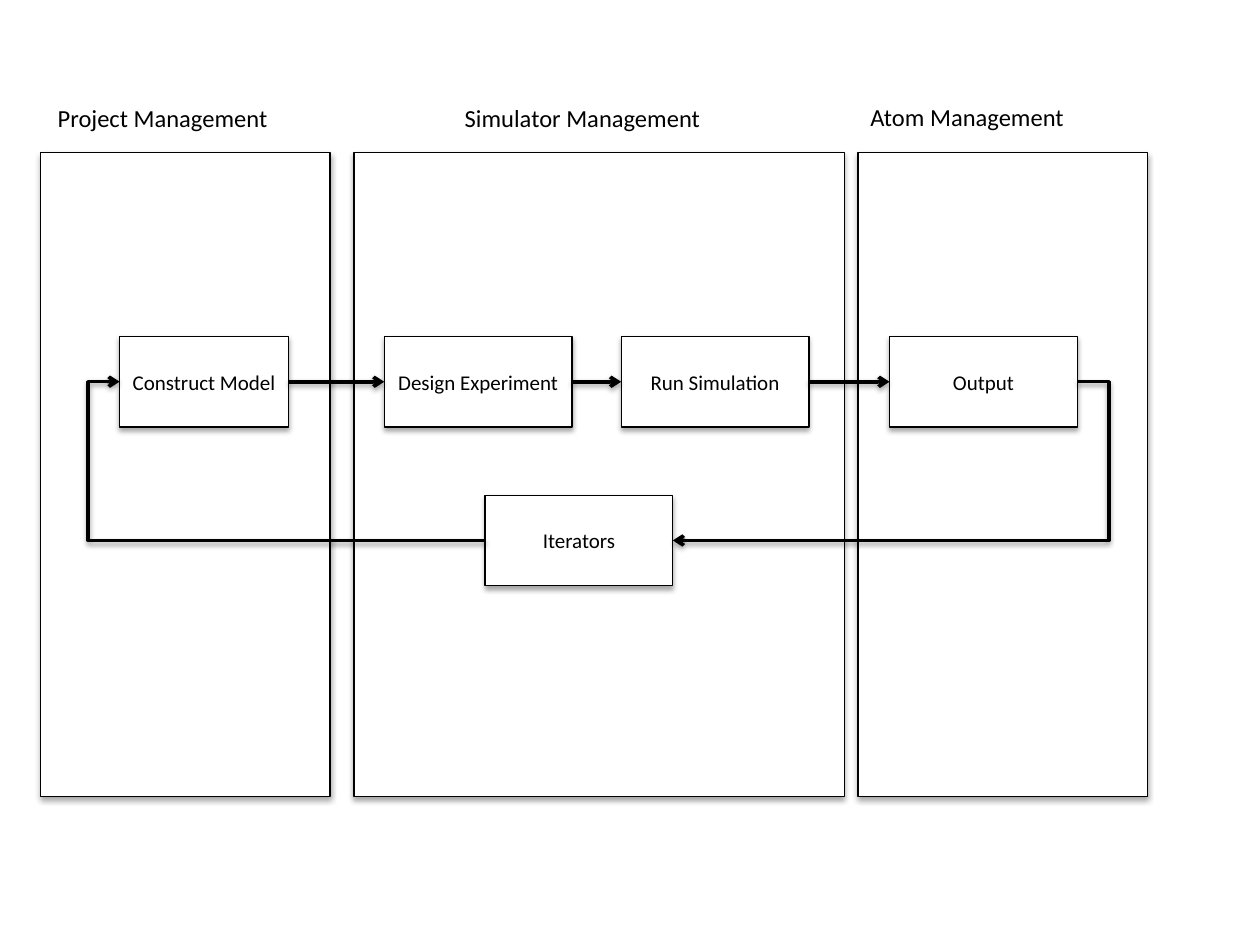
import pptx
import pptx.dml.color
import pptx.enum.shapes
import pptx.enum.text
import pptx.oxml
import pptx.oxml.ns
import pptx.util

BLACK = pptx.dml.color.RGBColor(0, 0, 0)
WHITE = pptx.dml.color.RGBColor(255, 255, 255)
Inches, Pt = pptx.util.Inches, pptx.util.Pt
ALIGN = pptx.enum.text.PP_ALIGN
RECTANGLE = pptx.enum.shapes.MSO_SHAPE.RECTANGLE
CONNECTOR = pptx.enum.shapes.MSO_CONNECTOR
LEFT_SITE, RIGHT_SITE = 1, 3

PANEL_TOP, PANEL_HEIGHT = 1.21, 5.11
STEP_HEIGHT, STEP_WIDTH = 0.72, 1.49
FLOW_ROW, LOOP_ROW = 2.67, 3.93
LABEL_WIDTH, LABEL_HEIGHT = 2.17, 0.34


def write(shape, text, size=12, align=ALIGN.CENTER, anchor=pptx.enum.text.MSO_ANCHOR.MIDDLE, inset=0.05):
    """Put formatted text into a shape."""
    frame = shape.text_frame
    frame.word_wrap = True
    frame.vertical_anchor = anchor
    frame.margin_left = frame.margin_right = Inches(inset)
    paragraph = frame.paragraphs[0]
    paragraph.alignment = align
    run = paragraph.add_run()
    run.text = text
    run.font.size, run.font.name = Pt(size), "Calibri"
    run.font.color.rgb = BLACK


def outline(shape, width, opacity, distance):
    """Give a shape or connector a black line and a soft shadow below it."""
    shape.line.color.rgb = BLACK
    shape.line.width = Pt(width)
    shape._element.spPr.append(pptx.oxml.parse_xml(
        f'<a:effectLst {pptx.oxml.ns.nsdecls("a")}>'
        f'<a:outerShdw blurRad="{Pt(3.1)}" dist="{Pt(distance)}" dir="5400000" rotWithShape="0">'
        f'<a:srgbClr val="{BLACK}"><a:alpha val="{opacity * 1000}"/></a:srgbClr>'
        '</a:outerShdw></a:effectLst>'))


deck = pptx.Presentation()
deck.slide_width, deck.slide_height = Inches(10), Inches(7.5)
slide = deck.slides.add_slide(deck.slide_layouts[6])

panels = [(left, PANEL_TOP, width, PANEL_HEIGHT, "")
          for left, width in [(6.81, 2.3), (2.81, 3.89), (0.32, 2.3)]]
steps = [(left, row, width, STEP_HEIGHT, text) for left, row, width, text in [
    (0.95, FLOW_ROW, 1.34, "Construct Model"),
    (3.05, FLOW_ROW, STEP_WIDTH, "Design Experiment"),
    (4.93, FLOW_ROW, STEP_WIDTH, "Run Simulation"),
    (7.06, FLOW_ROW, STEP_WIDTH, "Output"),
    (3.85, LOOP_ROW, STEP_WIDTH, "Iterators"),
]]

step_boxes = []
for left, top, width, height, text in panels + steps:
    box = slide.shapes.add_shape(RECTANGLE, Inches(left), Inches(top), Inches(width), Inches(height))
    box.fill.solid()
    box.fill.fore_color.rgb = WHITE
    outline(box, 0.75, 35, 1.8)
    if text:
        write(box, text)
        step_boxes.append(box)

construct, design, simulate, output, iterators = step_boxes
flows = [
    (construct, RIGHT_SITE, design, LEFT_SITE, None),
    (design, RIGHT_SITE, simulate, LEFT_SITE, None),
    (simulate, RIGHT_SITE, output, LEFT_SITE, None),
    (output, RIGHT_SITE, iterators, RIGHT_SITE, -0.078),
    (iterators, LEFT_SITE, construct, LEFT_SITE, 1.086),
]
for source, source_site, target, target_site, bend in flows:
    kind = CONNECTOR.STRAIGHT if bend is None else CONNECTOR.ELBOW
    arrow = slide.shapes.add_connector(kind, 0, 0, 0, 0)
    arrow.begin_connect(source, source_site)
    arrow.end_connect(target, target_site)
    outline(arrow, 2, 38, 1.6)
    arrow.line._get_or_add_ln().append(pptx.oxml.parse_xml(
        f'<a:tailEnd {pptx.oxml.ns.nsdecls("a")} type="arrow"/>'))
    if bend is not None:
        geometry = arrow._element.spPr.find(pptx.oxml.ns.qn("a:prstGeom"))
        geometry[0].append(pptx.oxml.parse_xml(
            f'<a:gd {pptx.oxml.ns.nsdecls("a")} name="adj1" fmla="val {round(bend * 100000)}"/>'))

for left, top, heading in [(0.36, 0.77, "Project Management"),
                           (3.59, 0.77, "Simulator Management"),
                           (6.81, 0.76, "Atom Management")]:
    label = slide.shapes.add_textbox(Inches(left), Inches(top), Inches(LABEL_WIDTH), Inches(LABEL_HEIGHT))
    write(label, heading, size=14, align=ALIGN.LEFT, anchor=pptx.enum.text.MSO_ANCHOR.TOP, inset=0.1)
    label.text_frame.auto_size = pptx.enum.text.MSO_AUTO_SIZE.SHAPE_TO_FIT_TEXT

deck.save("out.pptx")
